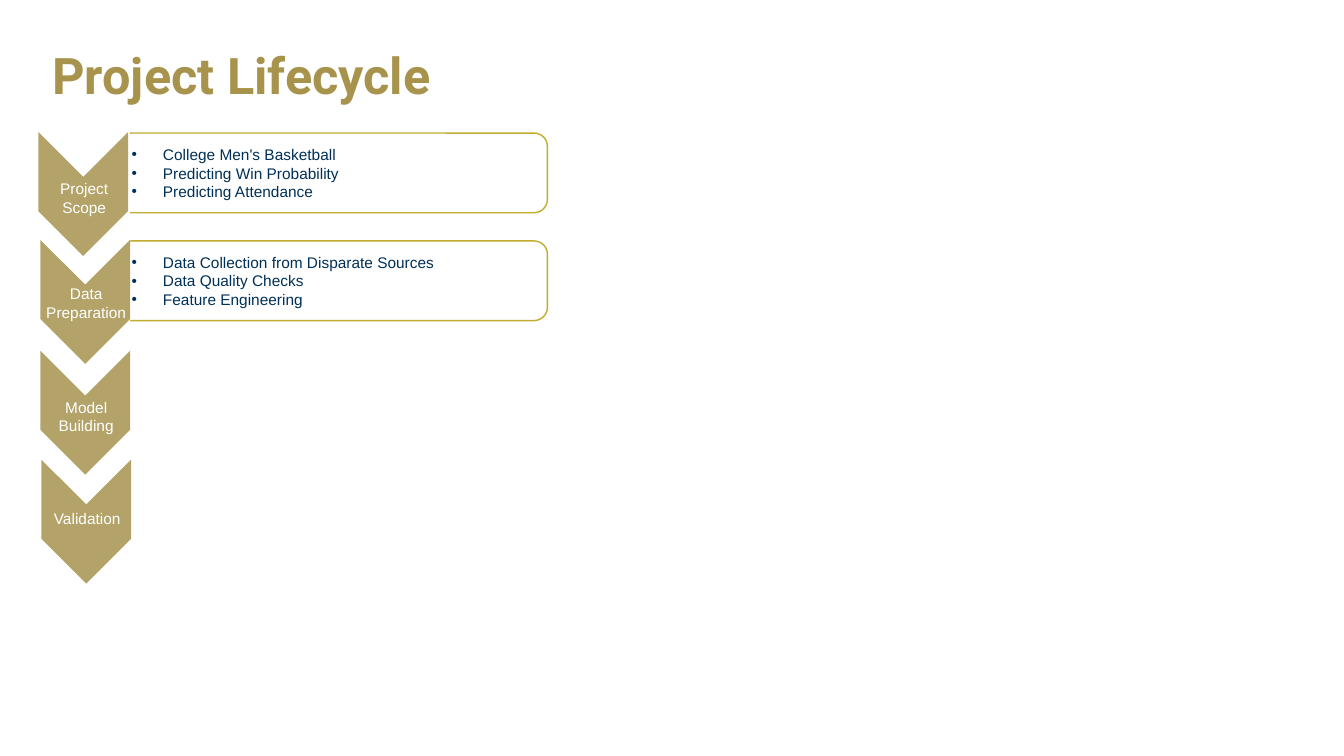
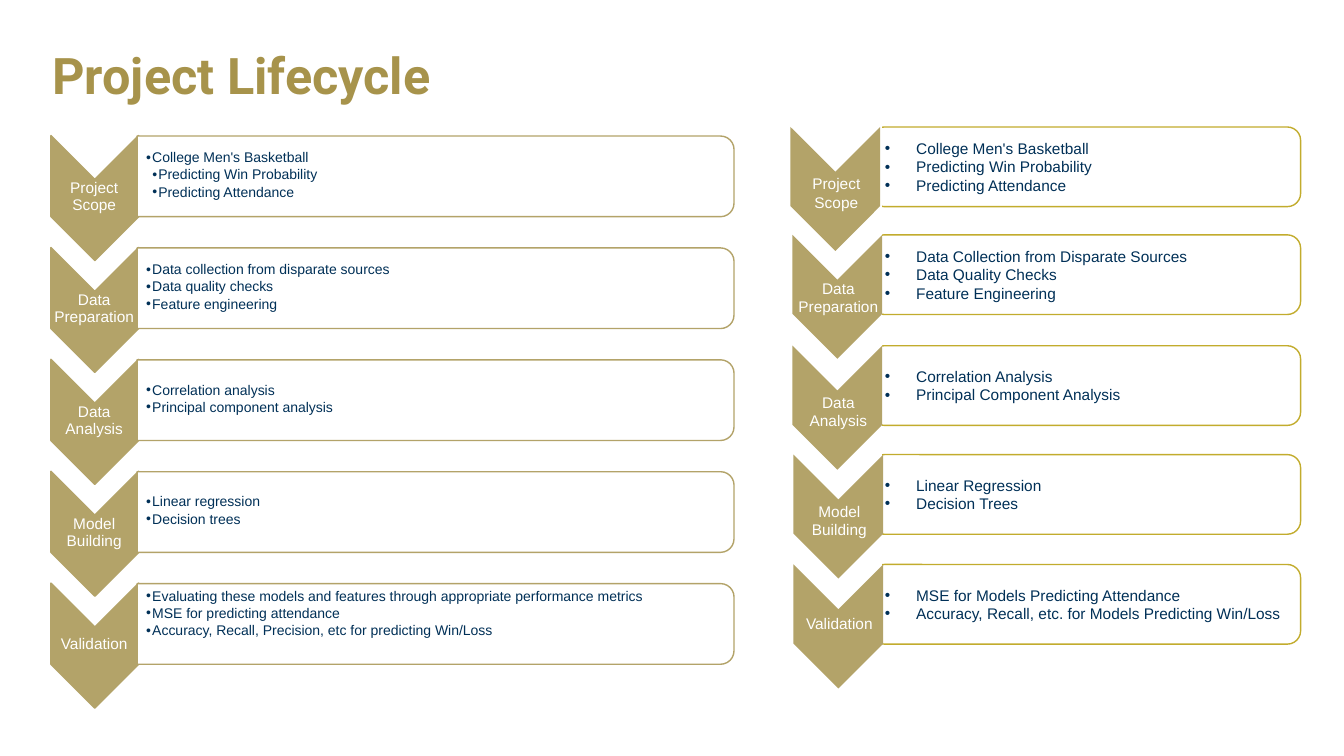
"""Build two project lifecycle slides made of chevron columns and bullet boxes."""
import dataclasses

import lxml.etree
import pptx
import pptx.dml.color
import pptx.enum.shapes
import pptx.enum.text
import pptx.oxml.ns
import pptx.util

Inches = pptx.util.Inches
SHAPES = pptx.enum.shapes.MSO_SHAPE
ALIGN = pptx.enum.text.PP_ALIGN
ANCHOR = pptx.enum.text.MSO_ANCHOR


@dataclasses.dataclass(frozen=True)
class Theme:
    title_color: str = "A7934B"
    gold: str = "B3A369"
    box_line: str = "C2AC2D"
    navy: str = "003057"
    white: str = "FFFFFF"
    title_font: str = "Roboto"
    body_font: str = "Arial"
    title_size: int = 36
    label_size: int = 11
    detail_size: int = 10


THEME = Theme()


def add_block(slide, kind, left, top, width, height, fill, line=None, rotation=0):
    block = slide.shapes.add_shape(kind, Inches(left), Inches(top), Inches(width), Inches(height))
    block.shadow.inherit = False
    block.rotation = rotation
    block.fill.solid()
    block.fill.fore_color.rgb = pptx.dml.color.RGBColor.from_string(fill)
    if line:
        block.line.color.rgb = pptx.dml.color.RGBColor.from_string(line)
        block.line.width = pptx.util.Pt(1)
    else:
        block.line.fill.background()
    return block


def write(frame, lines, size, color, font=THEME.body_font, bold=False, align=ALIGN.LEFT,
          anchor=ANCHOR.MIDDLE, insets=None, spacing=1.0, after=0, indents=None, hang=0):
    frame.word_wrap = True
    frame.vertical_anchor = anchor
    if insets:
        frame.margin_left, frame.margin_top, frame.margin_right, frame.margin_bottom = map(Inches, insets)
    frame.text = "\n".join(lines)
    for index, paragraph in enumerate(frame.paragraphs):
        paragraph.alignment = align
        paragraph.line_spacing = spacing
        paragraph.space_after = pptx.util.Pt(after)
        if indents:
            properties = paragraph._p.get_or_add_pPr()
            properties.set("marL", str(Inches(indents[index])))
            properties.set("indent", str(-Inches(hang)))
            bullet_font = lxml.etree.SubElement(properties, pptx.oxml.ns.qn("a:buFont"))
            bullet_font.set("typeface", THEME.body_font)
            bullet = lxml.etree.SubElement(properties, pptx.oxml.ns.qn("a:buChar"))
            bullet.set("char", "•")
        for run in paragraph.runs:
            run.font.name = font
            run.font.size = pptx.util.Pt(size)
            run.font.bold = bold
            run.font.color.rgb = pptx.dml.color.RGBColor.from_string(color)


STAGES = {
    "Project Scope": ["College Men's Basketball", "Predicting Win Probability", "Predicting Attendance"],
    "Data Preparation": ["Data Collection from Disparate Sources", "Data Quality Checks",
                         "Feature Engineering"],
    "Data Analysis": ["Correlation Analysis", "Principal Component Analysis"],
    "Model Building": ["Linear Regression", "Decision Trees"],
    "Validation": ["MSE for Models Predicting Attendance",
                   "Accuracy, Recall, etc. for Models Predicting Win/Loss"],
}
DETAILS = {
    "Project Scope": STAGES["Project Scope"],
    "Data Preparation": ["Data collection from disparate sources", "Data quality checks",
                         "Feature engineering"],
    "Data Analysis": ["Correlation analysis", "Principal component analysis"],
    "Model Building": ["Linear regression", "Decision trees"],
    "Validation": ["Evaluating these models and features through appropriate performance metrics",
                   "MSE for predicting attendance",
                   "Accuracy, Recall, Precision, etc for predicting Win/Loss"],
}
ROW_OFFSETS = [0, 1.07, 2.17, 3.25, 4.34]
ROW_DRIFTS = [0, 0.02, 0.02, 0.03, 0.03]
LABEL_DROPS = {"Data Preparation": 0.22, "Validation": 0.27}
COLUMNS = [
    {"stages": ["Project Scope", "Data Preparation", "Model Building", "Validation"], "boxes": 2,
     "chevron": (0.21, 1.48), "box": (1.17, 1.32), "cover": (-0.11, 1.21, 1.39, 6.21)},
    {"stages": list(STAGES), "boxes": 5,
     "chevron": (7.67, 1.43), "box": (8.64, 1.26), "cover": (7.86, 1.17, 0.88, 6.21)},
]

deck = pptx.Presentation()
deck.slide_width, deck.slide_height = Inches(13.33), Inches(7.5)
layout = deck.slide_layouts[5]
layout_title = layout.placeholders[0]
layout_title.left, layout_title.top = Inches(0.42), Inches(0.22)
layout_title.width, layout_title.height = Inches(12.5), Inches(1.11)

for column in COLUMNS:
    slide = deck.slides.add_slide(layout)
    write(slide.shapes.title.text_frame, ["Project Lifecycle"], THEME.title_size, THEME.title_color,
          font=THEME.title_font, bold=True, spacing=0.9)

    box_left, box_top = column["box"]
    for stage, offset in zip(column["stages"][:column["boxes"]], ROW_OFFSETS):
        box = add_block(slide, SHAPES.ROUNDED_RECTANGLE, box_left, box_top + offset, 4.26, 0.79,
                        THEME.white, THEME.box_line)
        write(box.text_frame, STAGES[stage], THEME.label_size, THEME.navy,
              indents=[0.31] * len(STAGES[stage]), hang=0.31)
    add_block(slide, SHAPES.RECTANGLE, *column["cover"], THEME.white, THEME.white)

    chevron_left, chevron_top = column["chevron"]
    for stage, offset, drift in zip(column["stages"], ROW_OFFSETS, ROW_DRIFTS):
        left, top = chevron_left + drift, chevron_top + offset
        add_block(slide, SHAPES.CHEVRON, left, top, 1.23, 0.89, THEME.gold, rotation=90)
        label = slide.shapes.add_textbox(Inches(left + 0.13), Inches(top + LABEL_DROPS.get(stage, 0.25)),
                                         Inches(0.99), Inches(0.47))
        write(label.text_frame, [stage], THEME.label_size, THEME.white, align=ALIGN.CENTER,
              anchor=ANCHOR.TOP, insets=(0.05, 0.05, 0.05, 0.05))

for row, (stage, details) in enumerate(DETAILS.items()):
    top = 1.53 + 1.11 * row
    add_block(slide, SHAPES.CHEVRON, 0.32, top, 1.24, 0.87, THEME.gold, THEME.gold, rotation=90)
    label = slide.shapes.add_textbox(Inches(0.5), Inches(top + 0.24), Inches(0.87), Inches(0.37))
    write(label.text_frame, [stage], THEME.label_size, THEME.white, align=ALIGN.CENTER,
          insets=(0.01, 0.01, 0.01, 0.01), spacing=0.9)
    add_block(slide, SHAPES.ROUND_2_SAME_RECTANGLE, 3.92, top - 2.74, 0.8, 5.92,
              THEME.white, THEME.gold, rotation=90)
    lift = 0.09 if stage == "Validation" else 0
    detail = slide.shapes.add_textbox(Inches(1.37), Inches(top - 0.15 - lift), Inches(5.88), Inches(0.72))
    indents = [0.06, 0.12, 0.12] if stage == "Project Scope" else [0.06] * len(details)
    write(detail.text_frame, details, THEME.detail_size, THEME.navy,
          insets=(0.08, 0.01, 0.01, 0.01), spacing=0.9, after=1.5, indents=indents, hang=0.06)

deck.save("out.pptx")
